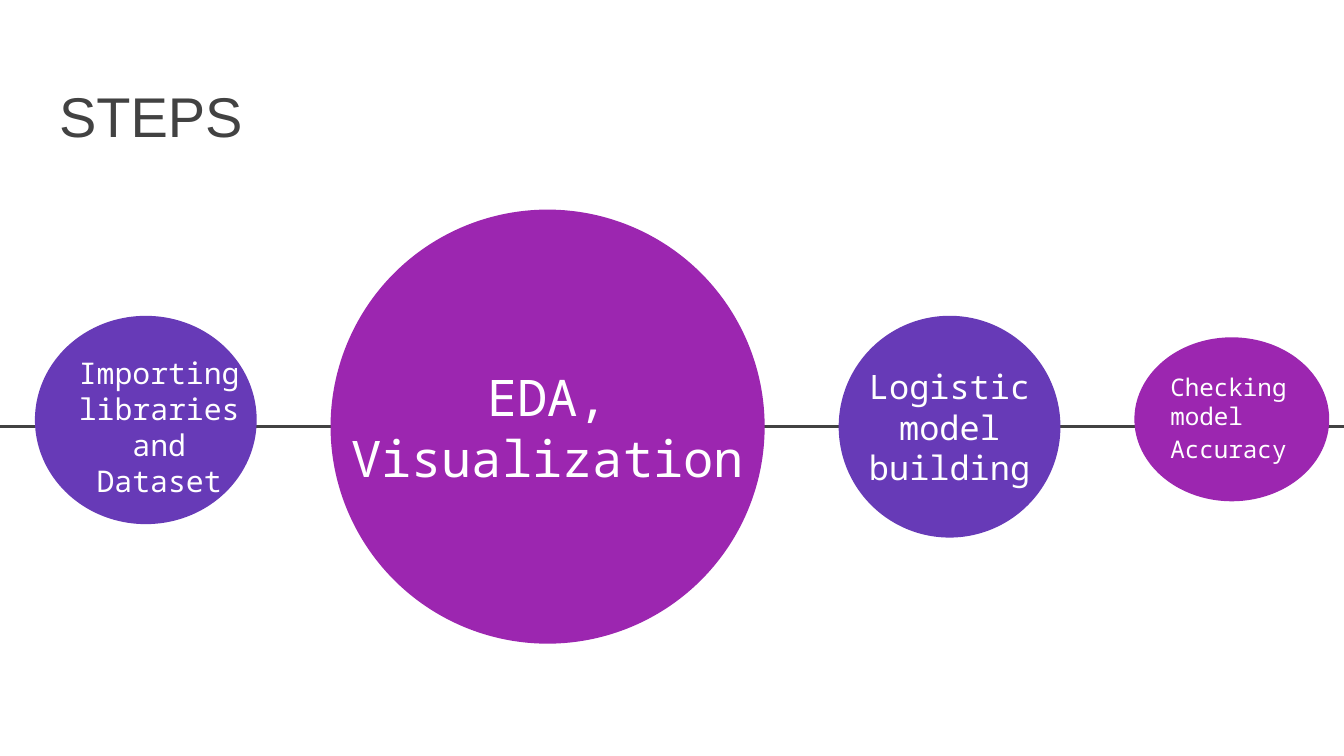
"""Build a slide of four project steps as circles strung along a line."""
import pptx
import pptx.dml.color
import pptx.enum.shapes
import pptx.enum.text
import pptx.oxml
import pptx.util

WIDTH = 10
HEIGHT = WIDTH * 9 / 16
AXIS = 2.35 + 1.65 / 2
FIRST_LEFT, GAP = 0.26, 0.55
LABEL_HEIGHT, INSET = 0.66, 0.1
INK, WHITE, INDIGO, PURPLE = "424242", "FFFFFF", "673AB7", "9C26B0"
TITLE_FONT, LABEL_FONT = "Arial", "Noto Sans Mono"
CENTER, LEFT = pptx.enum.text.PP_ALIGN.CENTER, pptx.enum.text.PP_ALIGN.LEFT
MIDDLE, BOTTOM = pptx.enum.text.MSO_ANCHOR.MIDDLE, pptx.enum.text.MSO_ANCHOR.BOTTOM

TITLE = [("STEPS", 30)]
STEPS = [
    {"runs": [("Importing libraries and Dataset", 16)], "fill": INDIGO, "size": (1.65, 1.55),
     "top": 2.35, "label": (0.2, 1.45), "label_middle": AXIS, "align": CENTER},
    {"runs": [("EDA, Visualization", 27)], "fill": PURPLE, "size": (3.23, 3.23),
     "top": 1.56, "label": (0, 3.23), "label_middle": AXIS, "align": CENTER},
    {"runs": [("Logistic model building", 18)], "fill": INDIGO, "size": (1.65, 1.65),
     "top": 2.35, "label": (0, 1.65), "label_middle": AXIS, "align": CENTER},
    {"runs": [("Checking model Accuracy", 13), (" ", 15)], "fill": PURPLE, "size": (1.45, 1.22),
     "top": 2.51, "label": (0.17, 1.11), "label_middle": 3.11, "align": LEFT},
]


def inches(*lengths):
    return [pptx.util.Inches(length) for length in lengths]


def color(value):
    return pptx.dml.color.RGBColor.from_string(value)


def write(shape, runs, font, ink, align, anchor):
    frame = shape.text_frame
    frame.word_wrap = True
    frame.auto_size = pptx.enum.text.MSO_AUTO_SIZE.NONE
    frame.vertical_anchor = anchor
    frame.margin_left = frame.margin_right = pptx.util.Inches(INSET)
    frame.margin_top = frame.margin_bottom = pptx.util.Inches(INSET)
    paragraph = frame.paragraphs[0]
    paragraph.alignment = align
    paragraph.line_spacing = 1
    for text, size in runs:
        run = paragraph.add_run()
        run.text = text
        run.font.name = font
        run.font.size = pptx.util.Pt(size)
        run.font.color.rgb = color(ink)


def add_axis(slide):
    line = slide.shapes.add_connector(
        pptx.enum.shapes.MSO_CONNECTOR.STRAIGHT, *inches(0, AXIS, WIDTH, AXIS))
    line.line.color.rgb = color(INK)
    line.line.width = pptx.util.Pt(1.5)
    properties = line._element.spPr
    properties.append(properties.makeelement(pptx.oxml.ns.qn("a:effectLst"), {}))


def add_title(slide):
    title = slide.shapes.title
    title.left, title.top, title.width, title.height = inches(0.34, 0.41, 9.32, 0.8)
    write(title, TITLE, TITLE_FONT, INK, LEFT, BOTTOM)


def add_step(slide, step, left):
    circle = slide.shapes.add_shape(
        pptx.enum.shapes.MSO_SHAPE.OVAL, *inches(left, step["top"], *step["size"]))
    circle.shadow.inherit = False
    circle.fill.solid()
    circle.fill.fore_color.rgb = color(step["fill"])
    circle.line.fill.background()
    offset, width = step["label"]
    top = step["label_middle"] - LABEL_HEIGHT / 2
    label = slide.shapes.add_textbox(*inches(left + offset, top, width, LABEL_HEIGHT))
    write(label, step["runs"], LABEL_FONT, WHITE, step["align"], MIDDLE)


def main():
    presentation = pptx.Presentation()
    presentation.slide_width, presentation.slide_height = inches(WIDTH, HEIGHT)
    slide = presentation.slides.add_slide(presentation.slide_layouts[5])
    add_axis(slide)
    add_title(slide)
    left = FIRST_LEFT
    for step in STEPS:
        add_step(slide, step, left)
        left += step["size"][0] + GAP
    presentation.save("out.pptx")


if __name__ == "__main__":
    main()
